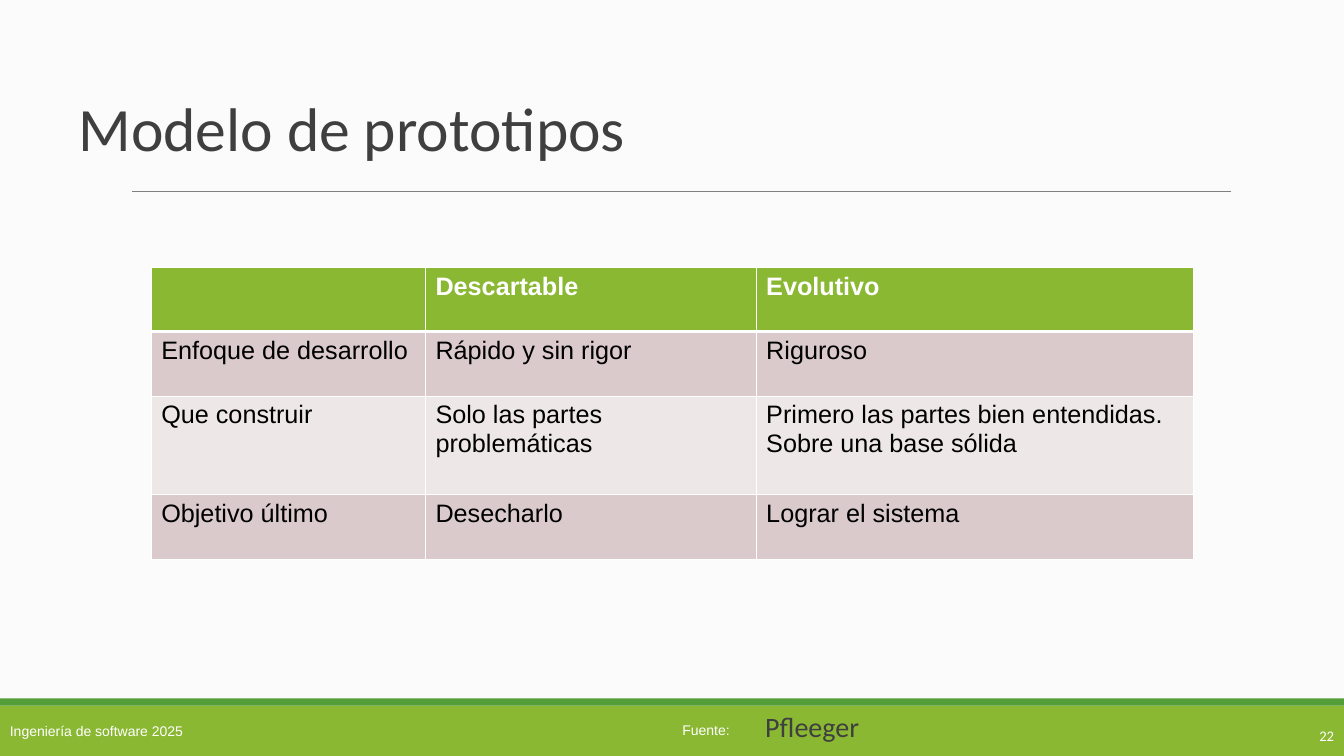
from dataclasses import dataclass

from lxml import etree
from pptx import Presentation
from pptx import util as u
from pptx.dml.color import RGBColor
from pptx.enum import shapes, text
from pptx.oxml.ns import qn


@dataclass(frozen=True)
class Theme:
    """Colours, fonts and type sizes of the slide."""
    background: str = "FBFBFB"
    green: str = "8AB833"
    dark_green: str = "549E39"
    rule: str = "7F7F7F"
    ink: str = "3F3F3F"
    black: str = "000000"
    white: str = "FFFFFF"
    bands: tuple = ("DACACC", "EDE7E7")
    heading_font: str = "Calibri"
    body_font: str = "Arial"
    title_size: float = 44
    source_size: float = 20
    table_size: float = 18
    number_size: float = 10.5
    footer_size: float = 10


def colour(value):
    """Turn a hex string into a colour."""
    return RGBColor.from_string(value)


def write(frame, content, *, font, size, color, bold=False, align=None,
          spacing=None, anchor=None, wrap=True):
    """Write one formatted paragraph into a text frame."""
    frame.word_wrap = wrap
    if anchor is not None:
        frame.vertical_anchor = anchor
    paragraph = frame.paragraphs[0]
    paragraph.alignment = align
    paragraph.line_spacing = spacing
    run = paragraph.add_run()
    run.text = content
    run.font.name = font
    run.font.size = u.Pt(size)
    run.font.bold = bold
    run.font.color.rgb = colour(color)


class SlideBuilder:
    """Draw styled elements on the current slide."""

    def __init__(self, slide, theme):
        """Keep the slide and theme, and paint the background."""
        self.slide = slide
        self.theme = theme
        slide.background.fill.solid()
        slide.background.fill.fore_color.rgb = colour(theme.background)

    def bar(self, top, height, fill):
        """Add a full-width bar."""
        shape = self.slide.shapes.add_shape(
            shapes.MSO_SHAPE.RECTANGLE, 0, u.Inches(top),
            u.Inches(13.33), u.Inches(height))
        shape.shadow.inherit = False
        shape.fill.solid()
        shape.fill.fore_color.rgb = colour(fill)
        shape.line.fill.background()
        return shape

    def rule(self, left, right, top):
        """Add a thin horizontal line."""
        line = self.slide.shapes.add_connector(
            shapes.MSO_CONNECTOR.STRAIGHT, u.Inches(left), u.Inches(top),
            u.Inches(right), u.Inches(top))
        line.line.color.rgb = colour(self.theme.rule)
        line.line.width = u.Pt(0.75)
        etree.SubElement(line._element.spPr, qn("a:effectLst"))

    def label(self, content, left, top, width, height, **style):
        """Add a text box."""
        box = self.slide.shapes.add_textbox(*map(u.Inches, (left, top, width, height)))
        write(box.text_frame, content, **style)

    def border(self, cell, side, width):
        """Add a white border to one side of a cell."""
        line = etree.SubElement(cell._tc.get_or_add_tcPr(), qn(f"a:ln{side}"),
                                w=str(u.Pt(width)))
        fill = etree.SubElement(line, qn("a:solidFill"))
        etree.SubElement(fill, qn("a:srgbClr"), val=self.theme.white)

    def table(self, rows, left, top, widths, heights):
        """Add a table with a header row and banded body rows."""
        theme = self.theme
        table = self.slide.shapes.add_table(
            len(rows), len(widths), u.Inches(left), u.Inches(top),
            u.Inches(sum(widths)), u.Inches(sum(heights))).table
        for column, width in zip(table.columns, widths):
            column.width = u.Inches(width)
        for index, (row, height) in enumerate(zip(rows, heights)):
            table.rows[index].height = u.Inches(height)
            header = index == 0
            fill = theme.green if header else theme.bands[(index - 1) % 2]
            borders = {"L": 1, "R": 1, "T": 3 if index == 1 else 1, "B": 3 if header else 1}
            for position, content in enumerate(row):
                cell = table.cell(index, position)
                for side, width in borders.items():
                    self.border(cell, side, width)
                cell.fill.solid()
                cell.fill.fore_color.rgb = colour(fill)
                if content:
                    write(cell.text_frame, content, font=theme.body_font,
                          size=theme.table_size, bold=header,
                          color=theme.white if header else theme.black)


def main():
    """Build the slide and save it."""
    presentation = Presentation()
    presentation.slide_width = u.Inches(13.33)
    presentation.slide_height = u.Inches(7.5)
    theme = Theme()
    slide = presentation.slides.add_slide(presentation.slide_layouts[6])
    builder = SlideBuilder(slide, theme)
    middle = text.MSO_ANCHOR.MIDDLE
    footer = dict(font=theme.body_font, size=theme.footer_size, color=theme.white)
    heading = dict(font=theme.heading_font, color=theme.ink, spacing=0.85, anchor=middle)

    footer_bar = builder.bar(7, 0.5, theme.green)
    write(footer_bar.text_frame, "Ingeniería de software 2025",
          align=text.PP_ALIGN.LEFT, anchor=middle, **footer)
    builder.bar(6.93, 0.07, theme.dark_green)
    builder.rule(1.31, 12.21, 1.9)
    builder.label("Fuente:", 6.67, 7.11, 0.67, 0.27, wrap=False, **footer)
    builder.label("22", 11.9, 7.1, 1.43, 0.4, font=theme.heading_font,
                  size=theme.number_size, color=theme.white,
                  align=text.PP_ALIGN.RIGHT, anchor=middle)
    builder.label("Modelo de prototipos", 0.68, 0.7, 11.78, 1.24,
                  size=theme.title_size, **heading)
    builder.table(
        [("", "Descartable", "Evolutivo"),
         ("Enfoque de desarrollo", "Rápido y sin rigor", "Riguroso"),
         ("Que construir", "Solo las partes problemáticas",
          "Primero las partes bien entendidas. Sobre una base sólida"),
         ("Objetivo último", "Desecharlo", "Lograr el sistema")],
        1.5, 2.65, widths=(2.72, 3.28, 4.34), heights=(0.64, 0.64, 0.98, 0.64))
    builder.label("Pfleeger", 7.49, 7.07, 2.36, 0.33, size=theme.source_size, **heading)
    presentation.save("out.pptx")


if __name__ == "__main__":
    main()
